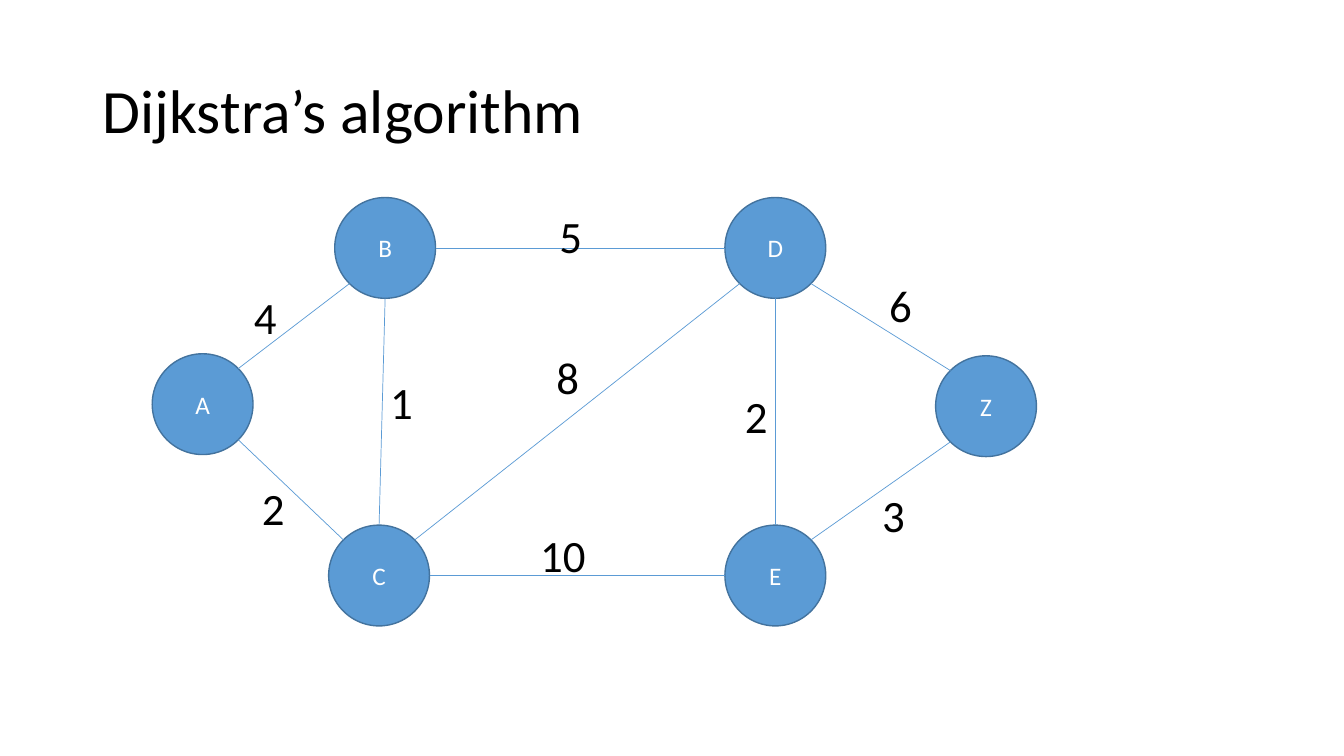
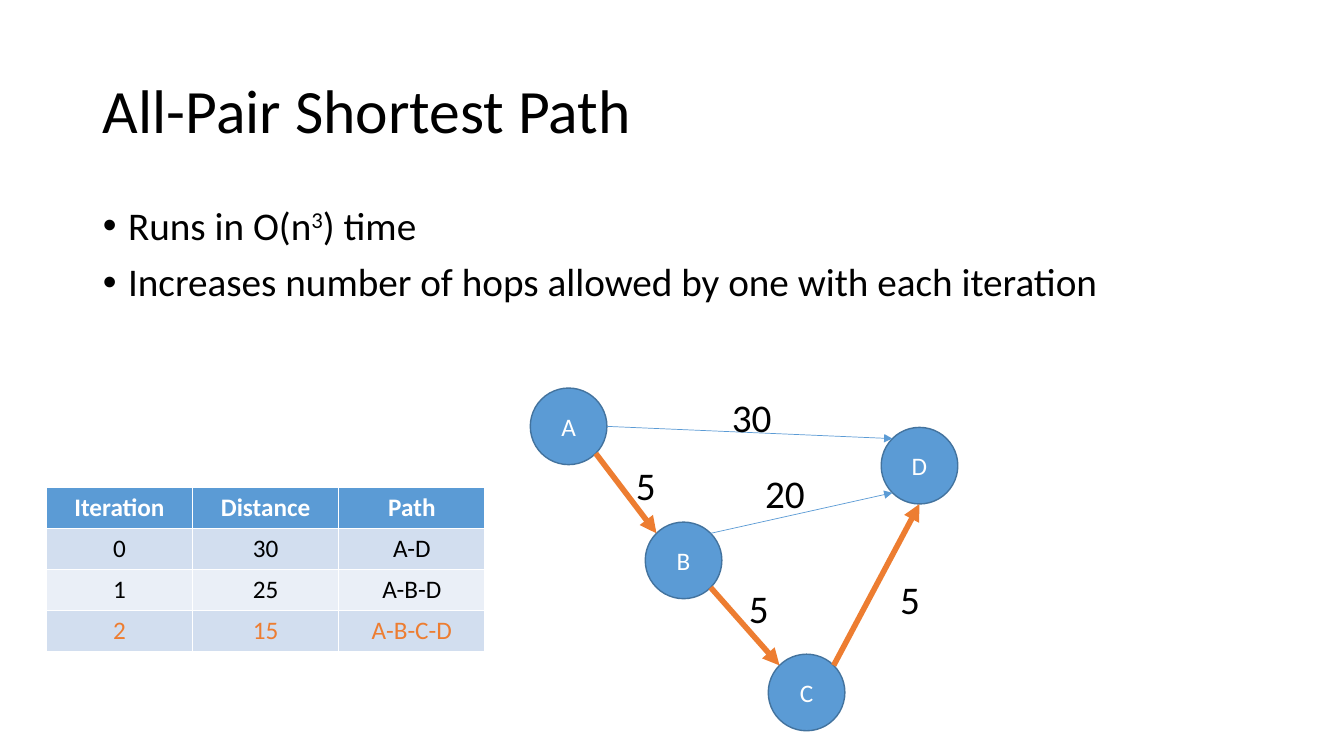
import math

import lxml.etree
import pptx
import pptx.dml.color
import pptx.enum.shapes
import pptx.enum.text
import pptx.oxml.ns
import pptx.util

PX = 9144
FONT = "Calibri"
BLACK = pptx.dml.color.RGBColor(0x00, 0x00, 0x00)
WHITE = pptx.dml.color.RGBColor(0xFF, 0xFF, 0xFF)
BLUE = pptx.dml.color.RGBColor(0x5B, 0x9B, 0xD5)
DARK_BLUE = pptx.dml.color.RGBColor(0x43, 0x73, 0x9E)
ORANGE = pptx.dml.color.RGBColor(0xED, 0x7D, 0x31)
BAND = pptx.dml.color.RGBColor(0xD2, 0xDE, 0xEF)
LIGHT_BAND = pptx.dml.color.RGBColor(0xEA, 0xEF, 0xF7)
CENTER = pptx.enum.text.PP_ALIGN.CENTER
MIDDLE = pptx.enum.text.MSO_ANCHOR.MIDDLE


def add_run(p, text, size, color, bold=False):
    r = p.add_run()
    r.text = text
    r.font.name = FONT
    r.font.size = pptx.util.Pt(size)
    r.font.color.rgb = color
    r.font.bold = bold
    return r


def add_graph(s, diameter, nodes, edges, label_size, directed):
    for name, (x, y) in nodes.items():
        sp = s.shapes.add_shape(pptx.enum.shapes.MSO_SHAPE.OVAL,
                                x * PX, y * PX, diameter * PX, diameter * PX)
        sp.shadow.inherit = False
        sp.fill.solid()
        sp.fill.fore_color.rgb = BLUE
        sp.line.color.rgb = DARK_BLUE
        sp.line.width = pptx.util.Pt(1)
        sp.text_frame.vertical_anchor = MIDDLE
        p = sp.text_frame.paragraphs[0]
        p.alignment = CENTER
        add_run(p, name, 18, WHITE)

    radius = diameter / 2
    for start, start_site, end, end_site, label, x, y, color, width in edges:
        ends = []
        for name, site in ((start, start_site), (end, end_site)):
            angle = math.radians(90 + 45 * site)
            left, top = nodes[name]
            ends.append(round((left + radius + radius * math.cos(angle)) * PX))
            ends.append(round((top + radius - radius * math.sin(angle)) * PX))
        line = s.shapes.add_connector(pptx.enum.shapes.MSO_CONNECTOR.STRAIGHT, *ends)
        line.line.color.rgb = color
        line.line.width = pptx.util.Pt(width)
        if directed:
            lxml.etree.SubElement(line.line._get_or_add_ln(),
                                  pptx.oxml.ns.qn("a:tailEnd"), type="triangle")
        lxml.etree.SubElement(line._element.spPr, pptx.oxml.ns.qn("a:effectLst"))

        tf = s.shapes.add_textbox(x * PX, y * PX, 70 * PX, 60 * PX).text_frame
        tf.word_wrap = True
        add_run(tf.paragraphs[0], label, label_size, BLACK)


prs = pptx.Presentation()
prs.slide_width, prs.slide_height = 1333 * PX, 750 * PX

slides = []
for title, layout in (("Dijkstra’s algorithm", 5), ("All-Pair Shortest Path", 1)):
    s = prs.slides.add_slide(prs.slide_layouts[layout])
    sp = s.shapes.title
    sp.left, sp.top, sp.width, sp.height = 92 * PX, 40 * PX, 1150 * PX, 145 * PX
    sp.text_frame.vertical_anchor = MIDDLE
    p = sp.text_frame.paragraphs[0]
    p.alignment = pptx.enum.text.PP_ALIGN.LEFT
    p.line_spacing = 0.9
    add_run(p, title, 44, BLACK)
    slides.append(s)
dijkstra, all_pair = slides

nodes = {"A": (151, 351), "B": (332, 196), "C": (326, 521),
         "D": (719, 196), "E": (719, 521), "Z": (928, 353)}
edges = [
    ("A", 7, "B", 3, "4", 242, 283),
    ("A", 5, "C", 1, "2", 250, 472),
    ("B", 4, "C", 0, "1", 377, 367),
    ("B", 6, "D", 2, "5", 545, 202),
    ("C", 7, "D", 3, "8", 542, 342),
    ("C", 6, "E", 2, "10", 526, 519),
    ("D", 4, "E", 0, "2", 729, 381),
    ("D", 5, "Z", 1, "6", 872, 271),
    ("E", 7, "Z", 3, "3", 865, 479),
]
add_graph(dijkstra, 100, nodes, [edge + (BLUE, 0.5) for edge in edges], 32, False)

sp = all_pair.placeholders[1]
sp.left, sp.top, sp.width, sp.height = 92 * PX, 200 * PX, 1150 * PX, 127 * PX
tf = sp.text_frame
bullets = [
    [("Runs in O(n", False), ("3", True), (") time", False)],
    [("Increases number of hops allowed by one with each iteration", False)],
]
for i, runs in enumerate(bullets):
    p = tf.add_paragraph() if i else tf.paragraphs[0]
    p.line_spacing = 0.9
    p.space_before = pptx.util.Pt(10)
    pPr = p._p.get_or_add_pPr()
    pPr.set("marL", str(25 * PX))
    pPr.set("indent", str(-25 * PX))
    for text, superscript in runs:
        r = add_run(p, text, 28, BLACK)
        if superscript:
            r._r.get_or_add_rPr().set("baseline", "30000")

rows = [
    (("Iteration", "Distance", "Path"), BLUE, WHITE),
    (("0", "30", "A-D"), BAND, BLACK),
    (("1", "25", "A-B-D"), LIGHT_BAND, BLACK),
    (("2", "15", "A-B-C-D"), BAND, ORANGE),
]
table = all_pair.shapes.add_table(len(rows), 3, 46 * PX, 484 * PX, 435 * PX, 162 * PX).table
for i, (texts, fill, color) in enumerate(rows):
    for j, text in enumerate(texts):
        cell = table.cell(i, j)
        cell.fill.solid()
        cell.fill.fore_color.rgb = fill
        p = cell.text_frame.paragraphs[0]
        p.alignment = CENTER
        add_run(p, text, 18, color, bold=i == 0)

nodes = {"A": (526, 385), "B": (640, 518), "C": (762, 649), "D": (874, 424)}
edges = [
    ("A", 5, "B", 1, "5", 621, 453, ORANGE, 4),
    ("B", 5, "C", 1, "5", 733, 575, ORANGE, 4),
    ("A", 6, "D", 1, "30", 716, 385, BLUE, 0.5),
    ("B", 7, "D", 3, "20", 749, 461, BLUE, 0.5),
    ("C", 7, "D", 4, "5", 883, 566, ORANGE, 4),
]
add_graph(all_pair, 76, nodes, edges, 28, True)

prs.save("out.pptx")
